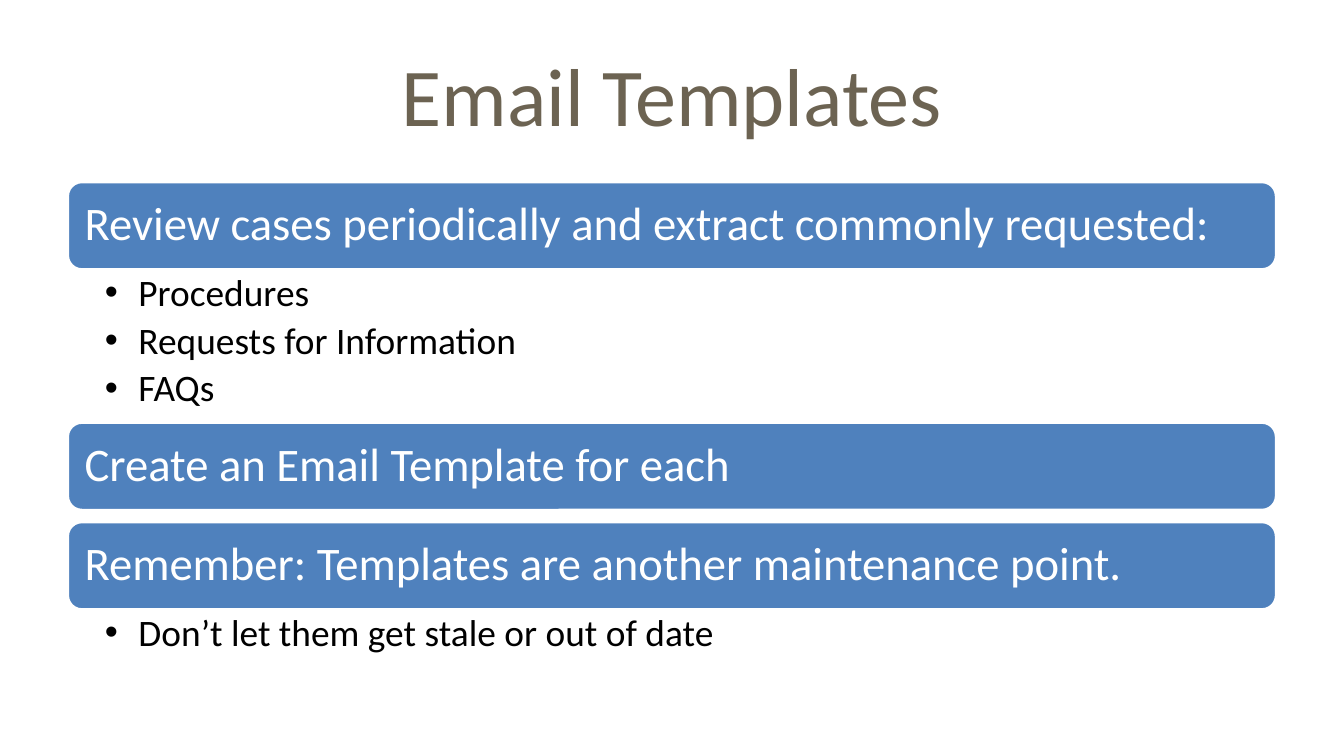
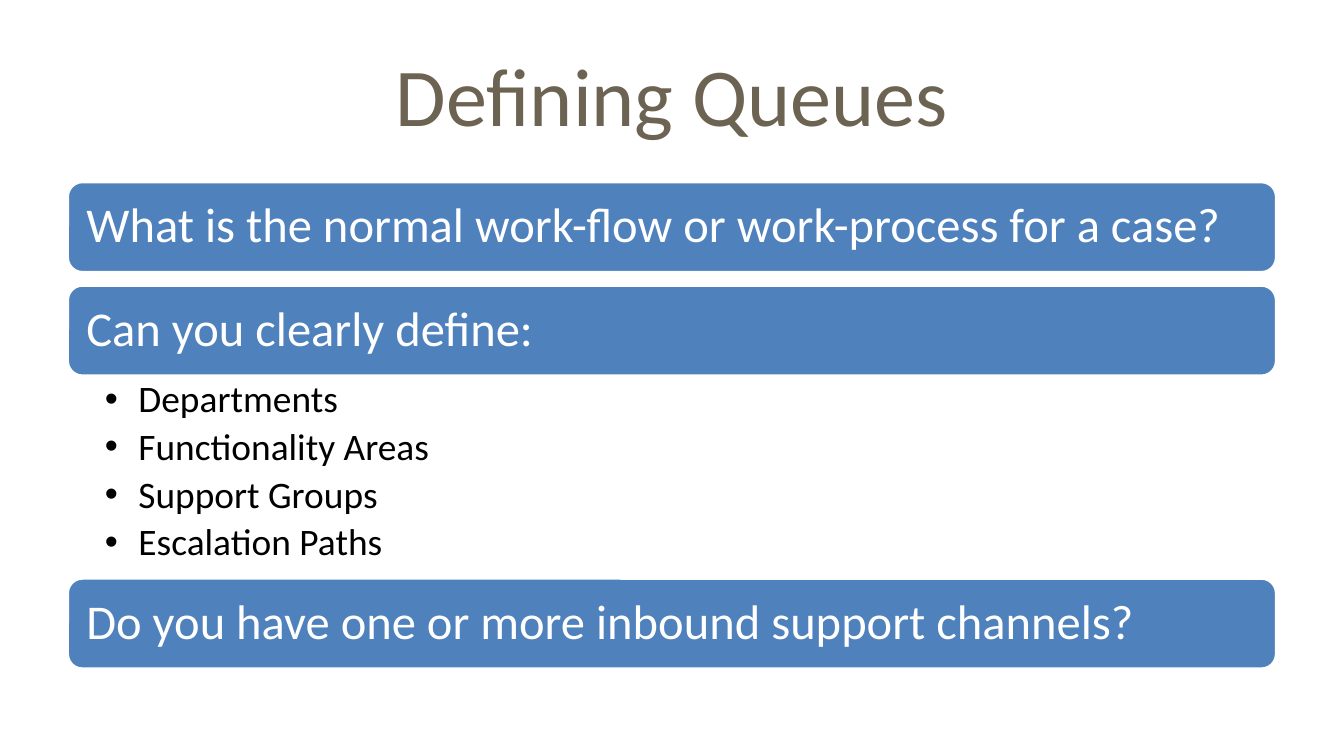
from dataclasses import dataclass

from lxml import etree
from pptx import Presentation
from pptx.dml.color import RGBColor
from pptx.enum.shapes import MSO_SHAPE
from pptx.enum.text import MSO_ANCHOR, MSO_AUTO_SIZE, PP_ALIGN
from pptx.oxml.ns import qn
from pptx.util import Inches, Pt

ROUNDED = MSO_SHAPE.ROUNDED_RECTANGLE
TOP, MIDDLE = MSO_ANCHOR.TOP, MSO_ANCHOR.MIDDLE
LEFT, CENTER = PP_ALIGN.LEFT, PP_ALIGN.CENTER
NO_AUTOFIT = MSO_AUTO_SIZE.NONE


@dataclass(frozen=True)
class Theme:
    font: str = "Calibri"
    title_color: RGBColor = RGBColor(0x6C, 0x63, 0x52)
    band_color: RGBColor = RGBColor(0x4F, 0x81, 0xBD)
    white: RGBColor = RGBColor(0xFF, 0xFF, 0xFF)
    black: RGBColor = RGBColor(0, 0, 0)
    title_size: int = 44
    list_size: int = 20
    list_gap: int = 4
    line_spacing: float = 0.9


@dataclass(frozen=True)
class BandStyle:
    height: float
    gap: float
    size: int
    inset: float


@dataclass(frozen=True)
class Section:
    heading: str
    items: tuple = ()
    list_height: float = 0


THEME = Theme()
TITLE_BOX = (0.5, 0.23, 9, 0.94)
CONTENT_BOX = (0.5, 1.35, 9, 3.63)
# Layout by number of lists: title only, one body, two bodies
LAYOUT_BY_LISTS = {0: 5, 1: 1, 2: 3}

SLIDES = [
    ("Email Templates", BandStyle(0.66, 0.08, 25, 0.1), [
        Section("Review cases periodically and extract commonly requested:",
                ("Procedures", "Requests for Information", "FAQs"), 1.13),
        Section("Create an Email Template for each"),
        Section("Remember: Templates are another maintenance point.",
                ("Don’t let them get stale or out of date",), 0.45),
    ]),
    ("Defining Queues", BandStyle(0.68, 0.09, 26, 0.11), [
        Section("What is the normal work-flow or work-process for a case?"),
        Section("Can you clearly define:",
                ("Departments", "Functionality Areas", "Support Groups",
                 "Escalation Paths"), 1.5),
        Section("Do you have one or more inbound support channels?"),
    ]),
]


def place(shape, box):
    shape.left, shape.top, shape.width, shape.height = map(Inches, box)


def set_frame(frame, anchor, insets=(0.1, 0.05, 0.1, 0.05)):
    frame.word_wrap = True
    frame.auto_size = NO_AUTOFIT
    frame.vertical_anchor = anchor
    (frame.margin_left, frame.margin_top,
     frame.margin_right, frame.margin_bottom) = map(Inches, insets)


def add_text(paragraph, text, size, color, align=LEFT):
    paragraph.alignment = align
    run = paragraph.add_run()
    run.text = text
    run.font.name = THEME.font
    run.font.size = Pt(size)
    run.font.color.rgb = color


def set_bullet(paragraph, indent):
    properties = paragraph._p.get_or_add_pPr()
    properties.set("marL", str(Inches(indent)))
    properties.set("indent", str(-Inches(indent)))
    etree.SubElement(properties, qn("a:buFont")).set("typeface", "Arial")
    etree.SubElement(properties, qn("a:buChar")).set("char", "•")


def fill_title(shape, text):
    place(shape, TITLE_BOX)
    set_frame(shape.text_frame, MIDDLE)
    add_text(shape.text_frame.paragraphs[0], text, THEME.title_size,
             THEME.title_color, CENTER)


def add_band(slide, box, text, style):
    band = slide.shapes.add_shape(ROUNDED, *map(Inches, box))
    band.shadow.inherit = False
    band.fill.solid()
    band.fill.fore_color.rgb = THEME.band_color
    band.line.color.rgb = THEME.white
    band.line.width = Pt(2)
    set_frame(band.text_frame, MIDDLE, (style.inset,) * 4)
    paragraph = band.text_frame.paragraphs[0]
    paragraph.line_spacing = THEME.line_spacing
    add_text(paragraph, text, style.size, THEME.white)


def fill_list(shape, box, items):
    place(shape, box)
    frame = shape.text_frame
    set_frame(frame, TOP, (0.28, 0.03, 0.19, 0.03))
    for index, item in enumerate(items):
        paragraph = frame.add_paragraph() if index else frame.paragraphs[0]
        paragraph.level = 1
        set_bullet(paragraph, 0.25)
        paragraph.line_spacing = THEME.line_spacing
        paragraph.space_before = Pt(0)
        paragraph.space_after = Pt(THEME.list_gap)
        add_text(paragraph, item, THEME.list_size, THEME.black)


def add_sections(slide, box, sections, style, bodies):
    """Stack bands downwards; a list fills the space to the next band."""
    left, top, width, _ = box
    for section in sections:
        add_band(slide, (left, top, width, style.height), section.heading, style)
        top += style.height
        if section.items:
            fill_list(next(bodies), (left, top, width, section.list_height),
                      section.items)
            top += section.list_height
        else:
            top += style.gap


def add_band_slide(presentation, title, style, sections):
    list_count = sum(bool(section.items) for section in sections)
    layout = presentation.slide_layouts[LAYOUT_BY_LISTS[list_count]]
    slide = presentation.slides.add_slide(layout)
    fill_title(slide.shapes.title, title)
    bodies = iter(list(slide.placeholders)[1:])
    add_sections(slide, CONTENT_BOX, sections, style, bodies)


def main():
    presentation = Presentation()
    # Widescreen, 16:9
    presentation.slide_width = Inches(10)
    presentation.slide_height = Inches(10 * 9 / 16)
    for title, style, sections in SLIDES:
        add_band_slide(presentation, title, style, sections)
    presentation.save("out.pptx")


if __name__ == "__main__":
    main()
